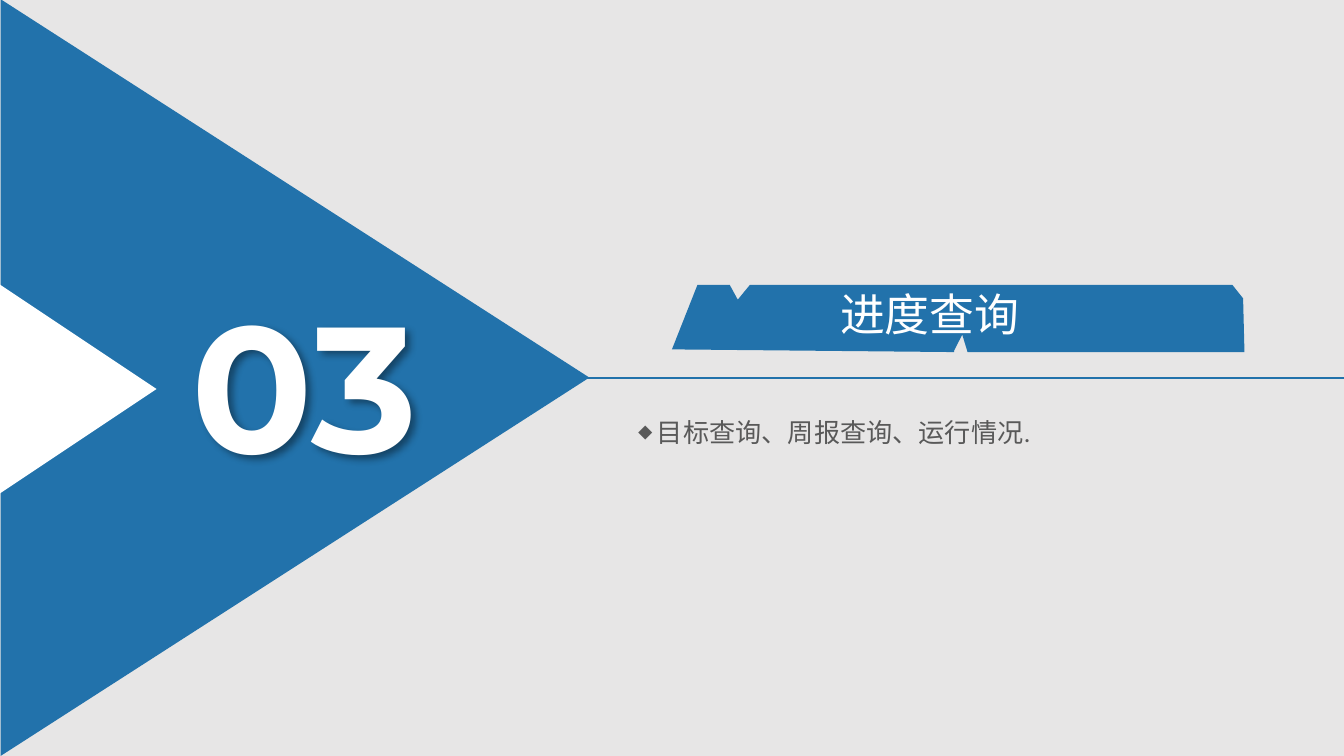
from dataclasses import dataclass

import lxml.etree
import pptx
import pptx.dml.color
import pptx.enum.shapes
import pptx.enum.text
import pptx.oxml
import pptx.oxml.ns
import pptx.util
from pptx.util import Inches

COLORS = {
    "background": "E7E6E6",
    "blue": "2272AB",
    "white": "FFFFFF",
    "gray": "595959",
}
CJK_FONT = "Noto Sans CJK SC"
QN = pptx.oxml.ns.qn
NSDECL = pptx.oxml.ns.nsdecls("a")


@dataclass
class Arrowhead:
    left: float
    top: float
    width: float
    height: float
    color: str


@dataclass
class Label:
    text: str
    left: float
    top: float
    width: float
    height: float
    size: float
    font: str
    color: str
    bold: bool = False


ARROWHEADS = [
    Arrowhead(-0.62, 0.62, 5.63, 4.38, "blue"),
    Arrowhead(-0.2, 2.31, 1.56, 1.17, "white"),
]
BANNER_OUTLINE = [
    (5.19, 2.12), (5.43, 2.12), (5.49, 2.23), (5.58, 2.12), (9.17, 2.12), (9.25, 2.22),
    (9.26, 2.62), (7.2, 2.62), (7.16, 2.49), (7.1, 2.61), (7.1, 2.62), (5, 2.6),
]
NUMBER = Label("03", 1.33, 1.99, 2.03, 1.72, 96, "Montserrat", "white", True)
HEADING = Label("进度查询", 6.15, 2.08, 3.1, 0.5, 24, CJK_FONT, "white")
TOPICS = Label("目标查询、周报查询、运行情况.", 4.61, 3.05, 5.31, 0.57, 14, "Calibri", "gray")


def rgb(name: str) -> pptx.dml.color.RGBColor:
    return pptx.dml.color.RGBColor.from_string(COLORS[name])


def paint(shape, color: str) -> None:
    shape.shadow.inherit = False
    shape.fill.solid()
    shape.fill.fore_color.rgb = rgb(color)
    shape.line.fill.background()


def draw_arrowhead(slide, head: Arrowhead) -> None:
    triangle = slide.shapes.add_shape(
        pptx.enum.shapes.MSO_SHAPE.ISOSCELES_TRIANGLE,
        Inches(head.left), Inches(head.top), Inches(head.width), Inches(head.height),
    )
    triangle.rotation = 90
    paint(triangle, head.color)


def draw_divider(slide, middle: int) -> None:
    divider = slide.shapes.add_connector(
        pptx.enum.shapes.MSO_CONNECTOR.STRAIGHT,
        Inches(3.59), middle, Inches(10.01), middle,
    )
    divider.line.color.rgb = rgb("blue")
    divider.line.width = pptx.util.Pt(1.5)
    lxml.etree.SubElement(divider._element.spPr, QN("a:effectLst"))


def draw_banner(slide) -> None:
    points = [(Inches(x), Inches(y)) for x, y in BANNER_OUTLINE]
    builder = slide.shapes.build_freeform(*points[0])
    builder.add_line_segments(points[1:], close=True)
    paint(builder.convert_to_shape(), "blue")


def write_label(shape, label: Label) -> None:
    shape.left, shape.top = Inches(label.left), Inches(label.top)
    shape.width, shape.height = Inches(label.width), Inches(label.height)
    frame = shape.text_frame
    frame.word_wrap = True
    frame.auto_size = pptx.enum.text.MSO_AUTO_SIZE.NONE
    frame.vertical_anchor = pptx.enum.text.MSO_ANCHOR.TOP
    paragraph = frame.paragraphs[0]
    paragraph.alignment = pptx.enum.text.PP_ALIGN.LEFT
    paragraph.line_spacing = 1.0
    paragraph.space_before = pptx.util.Pt(0)
    run = paragraph.add_run()
    run.text = label.text
    run.font.size = pptx.util.Pt(label.size)
    run.font.name = label.font
    run.font.bold = label.bold
    run.font.color.rgb = rgb(label.color)
    east_asian = lxml.etree.Element(QN("a:ea"), typeface=CJK_FONT)
    run.font._element.find(QN("a:latin")).addnext(east_asian)


def add_label(slide, label: Label):
    box = slide.shapes.add_textbox(0, 0, Inches(1), Inches(1))
    write_label(box, label)
    return box


def add_shadow(shape) -> None:
    shape._element.spPr.append(pptx.oxml.parse_xml(
        f'<a:effectLst {NSDECL}><a:outerShdw blurRad="50800" dist="38100" dir="2700000" algn="tl">'
        '<a:srgbClr val="000000"><a:alpha val="40000"/></a:srgbClr></a:outerShdw></a:effectLst>'
    ))


def add_diamond_bullet(shape) -> None:
    properties = shape.text_frame.paragraphs[0]._p.get_or_add_pPr()
    properties.set("marL", str(Inches(0.18)))
    properties.set("indent", str(Inches(-0.14)))
    lxml.etree.SubElement(properties, QN("a:buSzPct"), val="55000")
    lxml.etree.SubElement(properties, QN("a:buFont"), typeface=CJK_FONT)
    lxml.etree.SubElement(properties, QN("a:buChar"), char="◆")


def main() -> None:
    presentation = pptx.Presentation()
    presentation.slide_width = Inches(10)
    presentation.slide_height = Inches(10) * 9 // 16
    slide = presentation.slides.add_slide(presentation.slide_layouts.get_by_name("Title Only"))
    slide.background.fill.solid()
    slide.background.fill.fore_color.rgb = rgb("background")

    for head in ARROWHEADS:
        draw_arrowhead(slide, head)
    add_shadow(add_label(slide, NUMBER))
    draw_divider(slide, presentation.slide_height // 2)
    draw_banner(slide)

    heading = slide.shapes.title
    write_label(heading, HEADING)
    slide.shapes._spTree.append(heading._element)

    add_diamond_bullet(add_label(slide, TOPICS))
    presentation.save("out.pptx")


if __name__ == "__main__":
    main()
